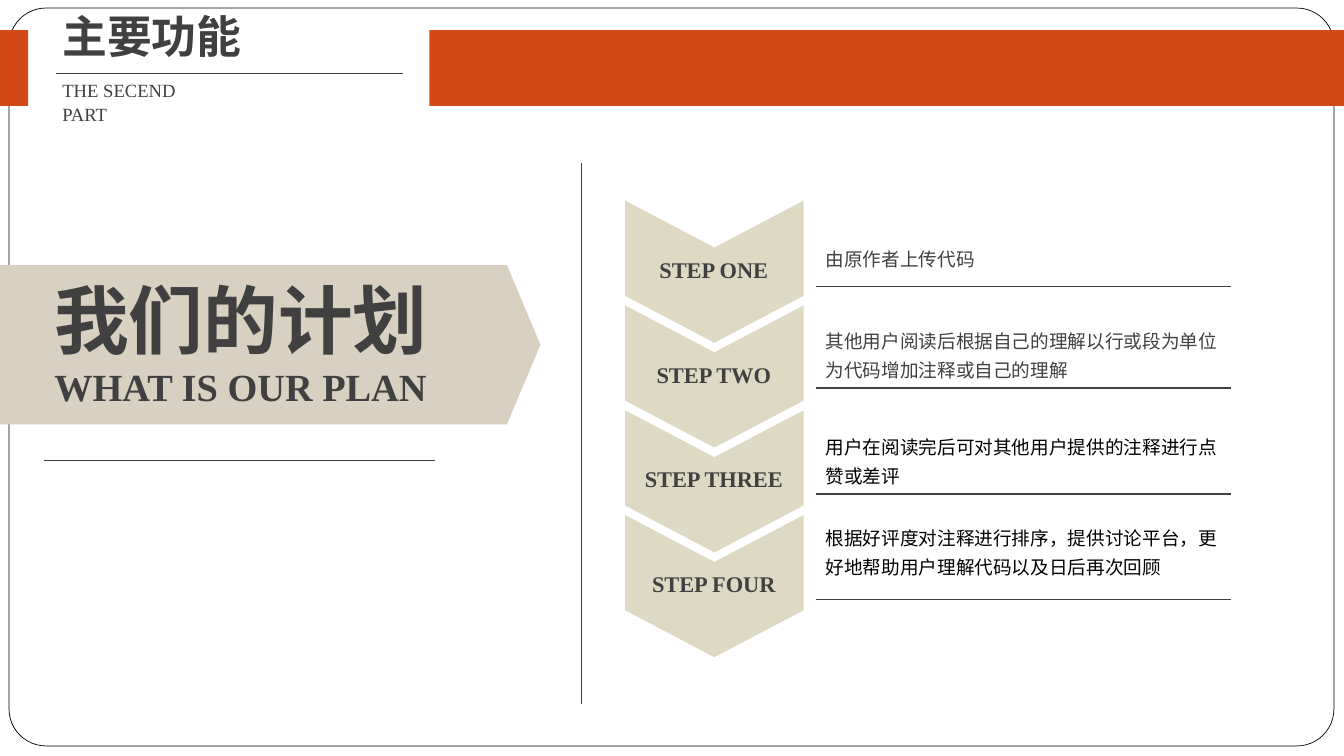
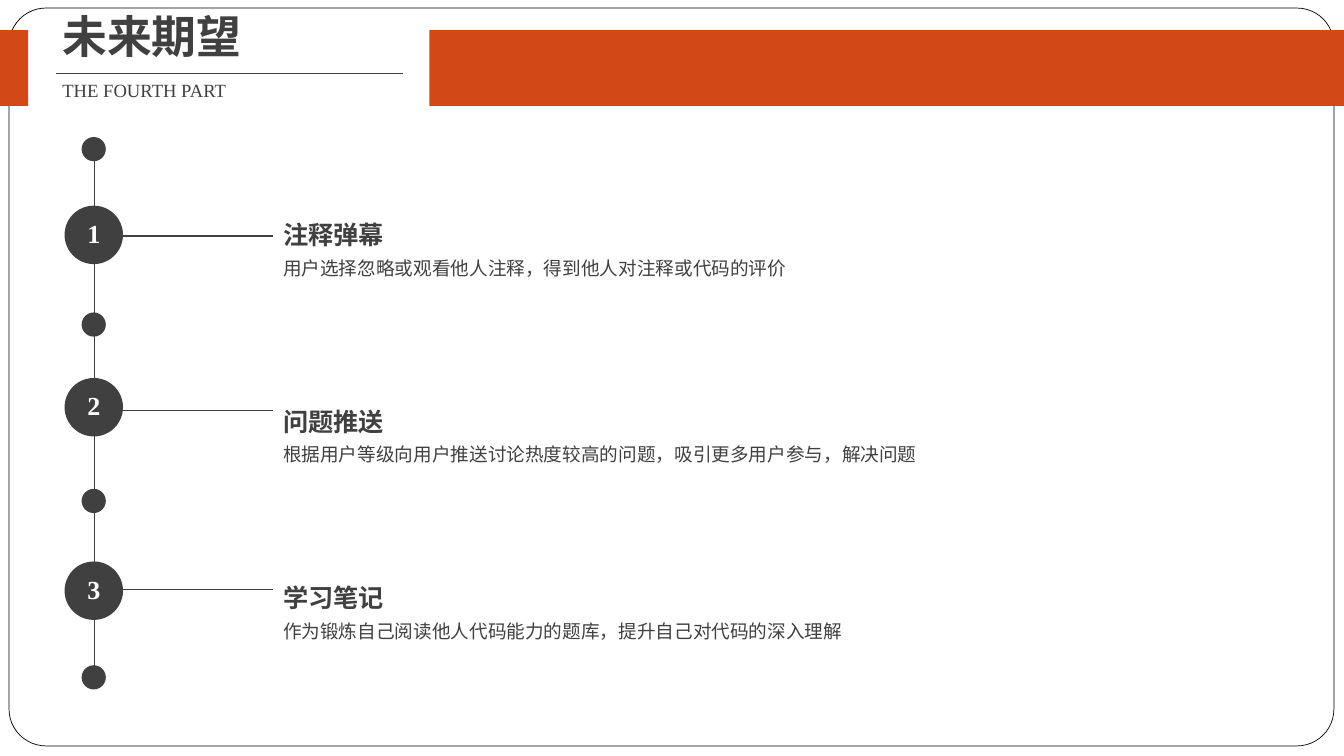
from lxml import etree
from pptx import Presentation
from pptx import util as u
from pptx.dml.color import RGBColor
from pptx.enum import shapes, text
from pptx.oxml.ns import qn

PX = 9144
W, H = 1333, 750
INK, BLACK, WHITE = "404040", "000000", "FFFFFF"
BAND, PLATE, CHEVRON = "D34817", "D8D0C0", "DDD9C3"
SERIF, SANS = "Times New Roman", "Noto Sans CJK SC"
KIND = shapes.MSO_SHAPE
CENTER = text.PP_ALIGN.CENTER

STEPS = [
    ("STEP ONE", "由原作者上传代码", 234, 284, INK),
    ("STEP TWO", "其他用户阅读后根据自己的理解以行或段为单位为代码增加注释或自己的理解", 316, 385, INK),
    ("STEP THREE", "用户在阅读完后可对其他用户提供的注释进行点赞或差评", 421, 490, BLACK),
    ("STEP FOUR", "根据好评度对注释进行排序，提供讨论平台，更好地帮助用户理解代码以及日后再次回顾", 511, 595, BLACK),
]
GOALS = [
    ("注释弹幕", "用户选择忽略或观看他人注释，得到他人对注释或代码的评价", 204, 234, 204),
    ("问题推送", "根据用户等级向用户推送讨论热度较高的问题，吸引更多用户参与，解决问题", 375, 407, 389),
    ("学习笔记", "作为锻炼自己阅读他人代码能力的题库，提升自己对代码的深入理解", 557, 585, 564),
]


def px(*lengths):
    """Turn px lengths into EMU."""
    return [u.Emu(n * PX) for n in lengths]


def rgb(color):
    """Turn a hex string into a colour."""
    return RGBColor.from_string(color)


def add_shape(s, kind, x, y, w, h, fill, line=None, adj=None):
    """Add a flat preset shape."""
    sp = s.shapes.add_shape(kind, *px(x, y, w, h))
    sp.shadow.inherit = False
    sp.fill.solid()
    sp.fill.fore_color.rgb = rgb(fill)
    if line:
        sp.line.color.rgb = rgb(line)
        sp.line.width = u.Pt(0.5)
    else:
        sp.line.fill.background()
    if adj is not None:
        sp.adjustments[0] = adj
    return sp


def add_line(s, x1, y1, x2, y2):
    """Add a thin dark rule."""
    cx = s.shapes.add_connector(shapes.MSO_CONNECTOR.STRAIGHT, *px(x1, y1, x2, y2))
    cx.line.color.rgb = rgb(INK)
    cx.line.width = u.Pt(1)
    etree.SubElement(cx._element.spPr, qn("a:effectLst"))


def style(p, content, size, color=INK, bold=False, font=SERIF, align=None, spacing=None):
    """Fill one paragraph and set its look."""
    p.text = content
    p.alignment = align
    p.line_spacing = spacing
    p.font.size = u.Pt(size)
    p.font.bold = bold
    p.font.name = font
    p.font.color.rgb = rgb(color)


def add_text(s, x, y, w, h, *paragraphs, wrap=True):
    """Add a text box with one dict of style arguments per paragraph."""
    tf = s.shapes.add_textbox(*px(x, y, w, h)).text_frame
    tf.word_wrap = wrap
    for i, look in enumerate(paragraphs):
        style(tf.add_paragraph() if i else tf.paragraphs[0], **look)


def add_slide(prs, title, subtitle, subtitle_w):
    """Add a slide with the shared frame, bands and titles."""
    s = prs.slides.add_slide(prs.slide_layouts[6])
    add_shape(s, KIND.ROUNDED_RECTANGLE, 9, 8, 1314, 732, WHITE, BLACK, 0.05)
    add_line(s, 56, 73, 400, 73)
    for x, w in ((0, 28), (426, W - 426)):
        add_shape(s, KIND.RECTANGLE, x, 30, w, 75, BAND)
    add_text(s, 52, 10, 368, 64, dict(content=title, size=32, bold=True, spacing=0.9))
    add_text(s, 52, 72, subtitle_w, 33, dict(content=subtitle, size=13.3, spacing=1.07))
    return s


def add_plan_banner(s, x, y, w, h):
    """Draw the arrow banner with its heading and rule."""
    add_shape(s, KIND.PENTAGON, x, y, w, h, PLATE, adj=0.21)
    add_text(s, x + 46, y + 4, 395, 146,
             dict(content="我们的计划", size=53.3, bold=True),
             dict(content="WHAT IS OUR PLAN", size=27.4, bold=True), wrap=False)
    add_line(s, x + 46, y + 194, x + 433, y + 194)


def add_step(s, x, y, w, h, label):
    """Draw one downward chevron with its label."""
    sp = add_shape(s, KIND.CHEVRON, x + (w - h) // 2, y + (h - w) // 2, h, w, CHEVRON, adj=0.33)
    sp.rotation = 90
    add_text(s, x + w // 2 - 100, y + 50, 200, 37,
             dict(content=label, size=16, bold=True, align=CENTER))


def add_steps(s, x, y):
    """Draw the column of chevrons with their notes."""
    for i, (label, note, note_y, rule_y, color) in enumerate(STEPS):
        add_step(s, x, y + i * 104, 177, 141, label)
        add_line(s, x + 189, rule_y, x + 601, rule_y)
        add_text(s, x + 189, note_y, 412, rule_y - note_y,
                 dict(content=note, size=13.3, color=color, spacing=1.3))


def add_timeline(s, x, y, h):
    """Draw the vertical line with its small dots."""
    add_line(s, x, y, x, y + h)
    for i in range(4):
        add_shape(s, KIND.OVAL, x - 13, y - 13 + i * 524 // 3, 24, 24, INK)


def add_goal(s, x, number, heading, detail, circle_y, rule_y, text_y):
    """Draw one numbered goal on the timeline."""
    add_line(s, x + 56, rule_y, x + 207, rule_y)
    tf = add_shape(s, KIND.OVAL, x, circle_y, 58, 58, INK).text_frame
    tf.margin_left = tf.margin_right = tf.margin_top = tf.margin_bottom = 0
    tf.vertical_anchor = text.MSO_ANCHOR.MIDDLE
    style(tf.paragraphs[0], str(number), 18.6, WHITE, True, align=CENTER, spacing=0.9)
    add_text(s, x + 207, text_y, 743, 79,
             dict(content=heading, size=18, bold=True, font=SANS, spacing=1.3),
             dict(content=detail, size=13.3, spacing=1.3))


def main():
    """Build the deck."""
    prs = Presentation()
    prs.slide_width, prs.slide_height = px(W, H)

    s = add_slide(prs, "主要功能", "THE SECEND PART", 160)
    add_plan_banner(s, -2, 263, 538, 158)
    add_line(s, 577, 162, 577, 698)
    add_steps(s, 620, 199)

    s = add_slide(prs, "未来期望", "THE FOURTH PART", 219)
    add_timeline(s, 94, 149, 521)
    for number, goal in enumerate(GOALS, 1):
        add_goal(s, 64, number, *goal)

    prs.save("out.pptx")


if __name__ == "__main__":
    main()
